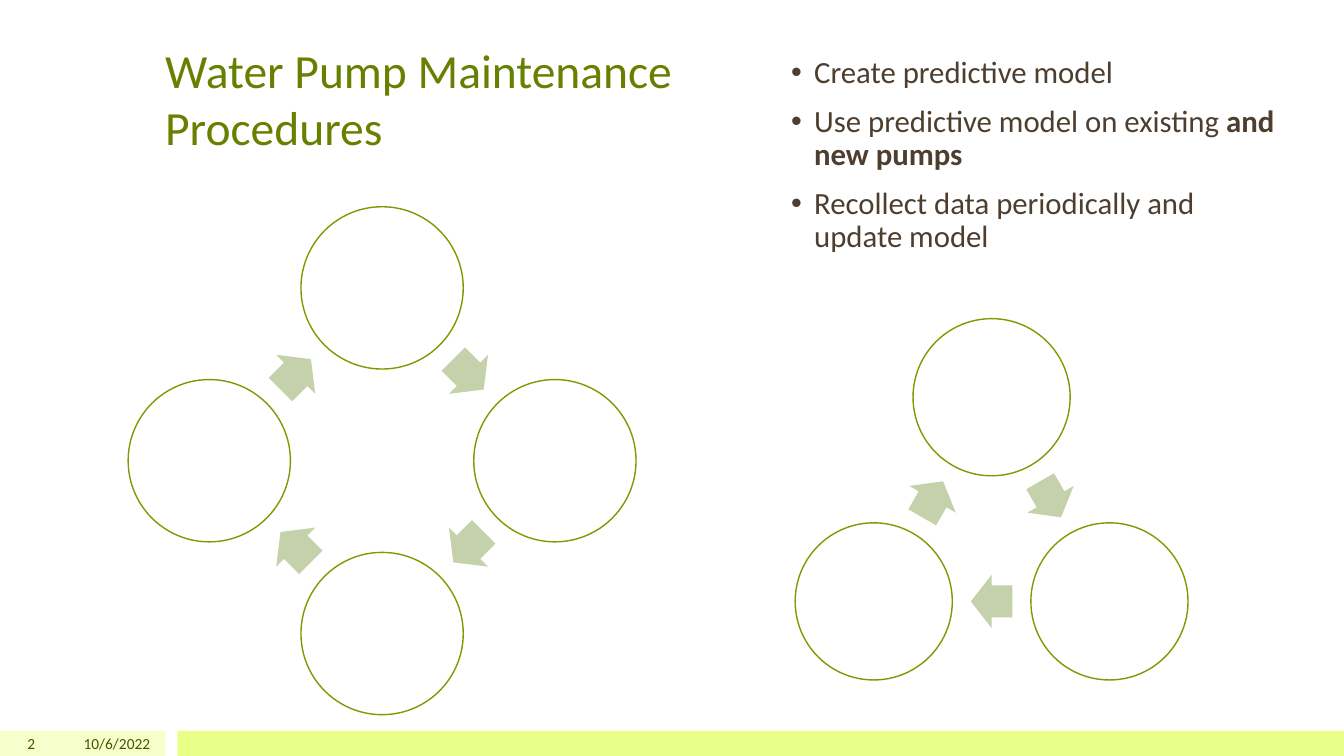
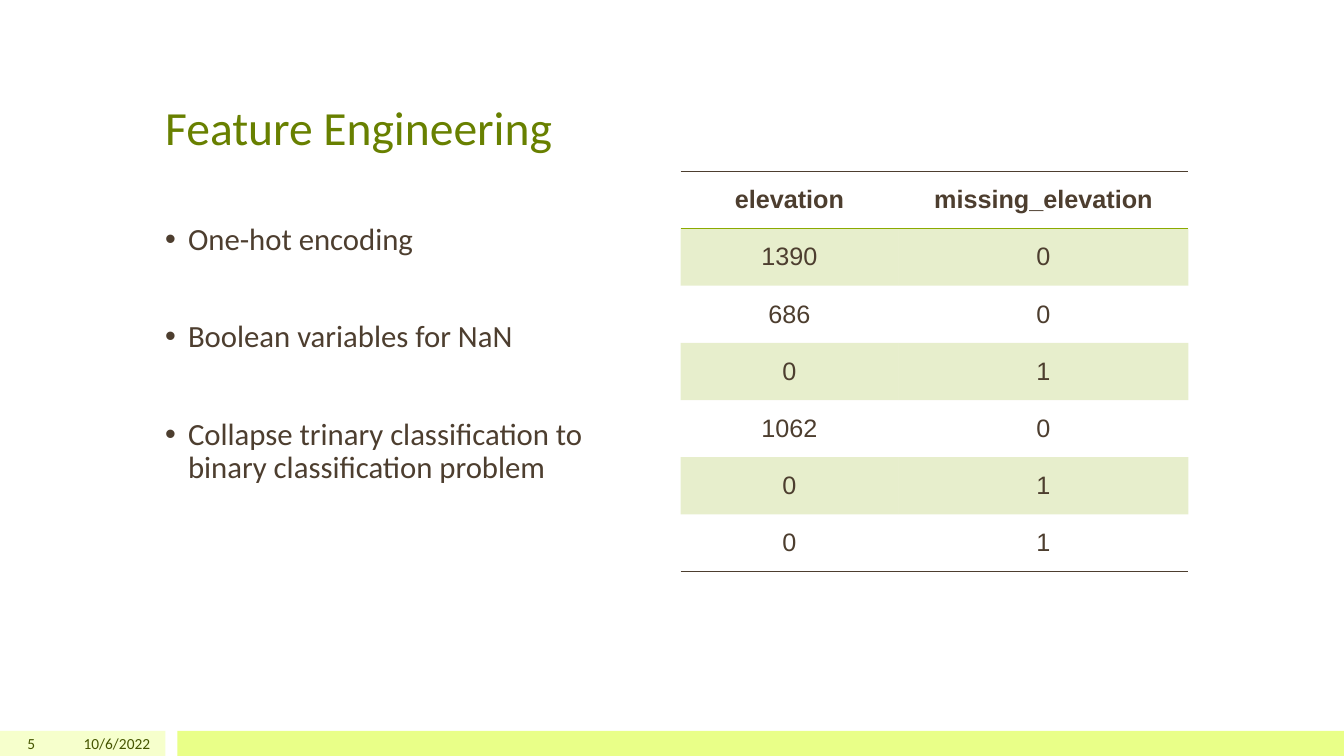
import math
from lxml import etree
from pptx import Presentation
from pptx import util as u
from pptx.dml.color import RGBColor
from pptx.enum import shapes, text
from pptx.oxml.ns import qn

Cm, Pt = u.Cm, u.Pt
C = dict(title="688000", body="4D3E2F", footer="455500", pale="F6FFCC",
         lime="E9FF88", ring="7E9A00", arrow="C4D1AB", accent="8BAA00",
         white="FFFFFF")
W, H = 33.87, 19.05
FOOT_Y, FOOT_H = 18.42, 0.63
NO_GRID = "{2D5ABB26-0587-4C30-8999-92F81FD0307C}"

# Formats shared by the slides
TITLE = dict(name="Calibri", size=Pt(34), bold=False)
BODY = dict(name="Calibri", size=Pt(22))
FOOT = dict(name="Calibri", size=Pt(11))
CELL = dict(name="Arial", size=Pt(18))


def apply(obj, fmt):
    for key, value in fmt.items():
        setattr(obj, key, value)


def style(font, fmt, color):
    apply(font, fmt)
    font.color.rgb = RGBColor.from_string(C[color])


def place(sp, box):
    apply(sp, dict(zip(("left", "top", "width", "height"), map(Cm, box))))


def add_shape(parent, kind, box, fill, line=None):
    sp = parent.shapes.add_shape(kind, *map(Cm, box))
    sp.shadow.inherit = False
    sp.fill.solid()
    sp.fill.fore_color.rgb = RGBColor.from_string(C[fill])
    if line:
        sp.line.color.rgb = RGBColor.from_string(C[line])
        sp.line.width = Pt(1)
    else:
        sp.line.fill.background()
    return sp


def add_title(s, box, words):
    sp = s.shapes.title
    place(sp, box)
    tf = sp.text_frame
    tf.text = words
    apply(tf, dict(word_wrap=True, auto_size=text.MSO_AUTO_SIZE.NONE,
                   vertical_anchor=text.MSO_ANCHOR.BOTTOM))
    p = tf.paragraphs[0]
    p.alignment = text.PP_ALIGN.LEFT
    style(p.runs[0].font, TITLE, "title")


def add_footer(s, number, date):
    # Bands
    add_shape(s, shapes.MSO_SHAPE.RECTANGLE, (0, FOOT_Y, 4.17, FOOT_H), "pale")
    add_shape(s, shapes.MSO_SHAPE.RECTANGLE,
              (4.47, FOOT_Y, W - 4.47, FOOT_H), "lime")
    # Slide number and date
    for left, width, words in ((0, 1.14, number), (1.27, 2.77, date)):
        tf = s.shapes.add_textbox(
            *map(Cm, (left, FOOT_Y, width, FOOT_H))).text_frame
        apply(tf, dict(word_wrap=True, margin_top=0, margin_bottom=0,
                       vertical_anchor=text.MSO_ANCHOR.MIDDLE))
        p = tf.paragraphs[0]
        p.alignment = text.PP_ALIGN.RIGHT
        r = p.add_run()
        r.text = words
        style(r.font, FOOT, "footer")


def add_bullets(s, box, items, gap):
    """Each item is a list of (words, bold) runs."""
    tf = s.shapes.add_textbox(*map(Cm, box)).text_frame
    tf.word_wrap = True
    for i, runs in enumerate(items):
        p = tf.add_paragraph() if i else tf.paragraphs[0]
        apply(p, dict(line_spacing=0.9, space_before=Pt(gap if i else 0)))
        pPr = p._p.get_or_add_pPr()
        pPr.set("marL", str(Cm(0.58)))
        pPr.set("indent", str(-Cm(0.58)))
        etree.SubElement(pPr, qn("a:buFont")).set("typeface", "Arial")
        etree.SubElement(pPr, qn("a:buChar")).set("char", "•")
        for words, bold in runs:
            r = p.add_run()
            r.text = words
            style(r.font, dict(BODY, bold=bold), "body")


def add_cycle(s, box, n, d):
    """Ring of n circles of diameter d, with arrows running clockwise."""
    x, y, w, h = box
    cx, cy, radius = x + w / 2, y + h / 2, (w - d) / 2
    g = s.shapes.add_group_shape()

    def centred(angle, dist, width, height):
        a = math.radians(angle)
        return (cx + dist * math.sin(a) - width / 2,
                cy - dist * math.cos(a) - height / 2, width, height)

    for k in range(n):
        add_shape(g, shapes.MSO_SHAPE.OVAL,
                  centred(k * 360 / n, radius, d, d), "white", "ring")
        turn = (k + 0.5) * 360 / n
        sp = add_shape(g, shapes.MSO_SHAPE.RIGHT_ARROW,
                       centred(turn, radius * math.cos(math.pi / n),
                               0.265 * d, 0.34 * d), "arrow")
        sp.adjustments[0], sp.adjustments[1] = 0.6, 0.5
        sp.rotation = turn


def add_border(cell, side, color):
    ln = etree.SubElement(cell._tc.get_or_add_tcPr(), qn("a:" + side))
    ln.set("w", str(Pt(1)))
    fill = etree.SubElement(ln, qn("a:solidFill"))
    etree.SubElement(fill, qn("a:srgbClr")).set("val", C[color])


def add_data_table(s, box, widths, rows):
    table = s.shapes.add_table(len(rows), len(widths), *map(Cm, box)).table
    table.horz_banding = False
    table._tbl.tblPr.find(qn("a:tableStyleId")).text = NO_GRID
    for col, width in zip(table.columns, widths):
        col.width = Cm(width)
    for i, row in enumerate(rows):
        table.rows[i].height = Cm(box[3] / len(rows))
        for j, words in enumerate(row):
            cell = table.cell(i, j)
            cell.text = words
            cell.vertical_anchor = text.MSO_ANCHOR.MIDDLE
            p = cell.text_frame.paragraphs[0]
            p.alignment = text.PP_ALIGN.CENTER
            style(p.runs[0].font, dict(CELL, bold=i == 0), "body")
            # Rules around the header and under the last row
            if i == 0:
                add_border(cell, "lnT", "body")
                add_border(cell, "lnB", "accent")
            elif i == len(rows) - 1:
                add_border(cell, "lnB", "body")
            # Tint on every other row
            if i % 2:
                cell.fill.solid()
                cell.fill.fore_color.rgb = RGBColor.from_string(C["accent"])
                clr = cell._tc.tcPr.find(qn("a:solidFill"))[0]
                etree.SubElement(clr, qn("a:alpha")).set("val", "20000")
            else:
                cell.fill.background()


def new_slide(prs, title, title_width, number):
    s = prs.slides.add_slide(prs.slide_layouts[5])
    add_footer(s, number, "10/6/2022")
    add_title(s, (3.91, 0.76, title_width, 3.28), title)
    return s


def procedures_slide(prs):
    s = new_slide(prs, "Water Pump Maintenance Procedures", 13.64, "2")
    add_bullets(s, (19.69, 1.32, 12.8, 12.83), [
        [("Create predictive model", False)],
        [("Use predictive model on existing ", False),
         ("and new pumps", True)],
        [("Recollect data periodically and update model", False)],
    ], gap=11)
    add_cycle(s, (3.23, 5.21, 12.8, 12.8), 4, 4.09)
    add_cycle(s, (19.58, 8.03, 10.82, 10.82), 3, 3.96)


def features_slide(prs):
    s = new_slide(prs, "Feature Engineering", 26.04, "5")
    add_bullets(s, (3.91, 5.51, 12.8, 12.83), [
        [("One-hot encoding", False)],
        [("Boolean variables for NaN", False)],
        [("Collapse trinary classification to binary classification problem",
          False)],
    ], gap=46)
    add_data_table(s, (17.15, 4.32, 12.8, 10.08), (5.49, 7.31), [
        ("elevation", "missing_elevation"),
        ("1390", "0"), ("686", "0"), ("0", "1"),
        ("1062", "0"), ("0", "1"), ("0", "1"),
    ])


def main():
    prs = Presentation()
    prs.slide_width, prs.slide_height = Cm(W), Cm(H)
    procedures_slide(prs)
    features_slide(prs)
    prs.save("out.pptx")


if __name__ == "__main__":
    main()
